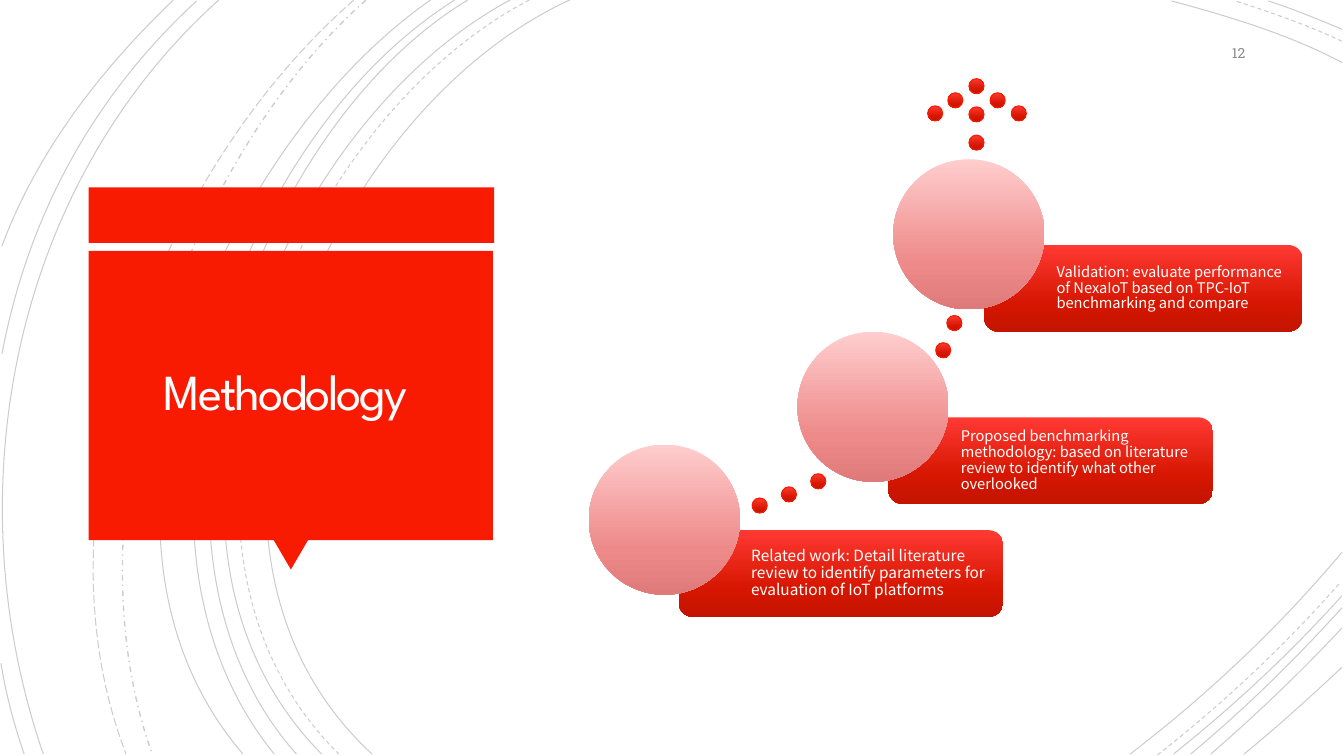
"""Build the Methodology slide: a red title block beside three rising steps."""
from copy import deepcopy

from lxml import etree
from pptx import Presentation
from pptx.dml.color import RGBColor
from pptx.enum import dml, shapes, text
from pptx.oxml import ns
from pptx.util import Pt

PX = 9144
RED = RGBColor(0xF8, 0x1B, 0x02)
BLACK = RGBColor(0, 0, 0)
WHITE = RGBColor(0xFF, 0xFF, 0xFF)
TITLE_WHITE = RGBColor(0xFF, 0xFE, 0xFF)
GREY = RGBColor(0x8C, 0x8C, 0x8C)
DEEP_REDS = [RGBColor.from_string(c) for c in ("FF3933", "D51600", "C31400")]
PALE_REDS = [RGBColor.from_string(c) for c in ("FFCDCD", "EE8A8A", "DE7A79")]
STOPS = (0, 0.69, 1)

SOLID, DASH = dml.MSO_LINE.SOLID, dml.MSO_LINE.DASH
ARCS = [
    (SOLID, 0.75, [
        [(565, 0), (315, 115), (143, 540), (369, 748)],
        [(1331, 62), (1278, 34), (1218, 16), (1162, 1)],
        [(1121, 748), (1197, 690), (1269, 622), (1331, 548)],
    ]),
    (DASH, 0.75, [
        [(525, 0), (285, 125), (123, 537), (336, 748)],
        [(1331, 41), (1297, 25), (1260, 12), (1225, 1)],
        [(1148, 749), (1213, 698), (1275, 640), (1330, 577)],
    ]),
    (SOLID, 0.75, [
        [(506, 0), (270, 127), (110, 537), (319, 748)],
        [(1331, 29), (1307, 19), (1283, 9), (1258, 1)],
        [(1164, 748), (1223, 701), (1280, 648), (1331, 591)],
        [(464, 0), (244, 133), (110, 541), (294, 748)],
        [(1181, 748), (1234, 704), (1284, 655), (1331, 603)],
        [(451, 0), (231, 138), (97, 533), (272, 748)],
        [(1201, 748), (1246, 709), (1290, 667), (1331, 623)],
        [(427, 0), (217, 147), (53, 529), (241, 748)],
        [(1234, 748), (1267, 721), (1299, 692), (1331, 662)],
    ]),
    (dml.MSO_LINE.DASH_DOT, 1, [[(363, 0), (176, 166), (65, 509), (151, 748)]]),
    (dml.MSO_LINE.LONG_DASH, 0.75, [[(351, 0), (157, 169), (29, 499), (125, 748)]]),
    (SOLID, 0.75, [
        [(217, 0), (11, 185), (-46, 490), (43, 748)],
        [(195, 1), (92, 96), (28, 214), (2, 351)],
        [(1, 658), (6, 689), (14, 719), (24, 748)],
        [(172, 0), (100, 69), (37, 150), (2, 244)],
    ]),
]

TITLE = "Methodology "
PAGE = "12"
STEPS = [
    ("Related work: Detail literature review to identify parameters for "
     "evaluation of IoT platforms", 11, (673, 526, 322), (584, 441)),
    ("Proposed benchmarking methodology: based on literature review to "
     "identify what other overlooked", 10.5, (881, 414, 322), (791, 329)),
    ("Validation: evaluate performance of NexaIoT based on TPC-IoT "
     "benchmarking and compare", 10.5, (976, 243, 316), (886, 158)),
]
CARD_HEIGHT, CARD_EDGE, DISC, DOT = 86, 4, (150, 149), (15, 15)
TRAIL = [(804, 470), (775, 483), (746, 494), (939, 313), (928, 340)]
ARROW = [(920, 105), (940, 92), (961, 78), (982, 92), (1003, 105),
         (961, 106), (961, 134)]


def box(*lengths):
    return [n * PX for n in lengths]


def add_arc(slide, curve, dash, width):
    start, *rest = curve
    builder = slide.shapes.build_freeform(*start, scale=PX)
    builder.add_line_segments(rest, close=False)
    arc = builder.convert_to_shape()
    outline = arc._element.spPr.find(".//" + ns.qn("a:path"))
    bend = etree.SubElement(outline, ns.qn("a:cubicBezTo"))
    for segment in outline.findall(ns.qn("a:lnTo")):
        bend.append(segment[0])
        outline.remove(segment)
    arc.shadow.inherit = False
    arc.fill.background()
    arc.line.color.rgb = BLACK
    arc.line.width = Pt(width)
    arc.line.dash_style = dash
    ink = arc._element.spPr.find(".//" + ns.qn("a:srgbClr"))
    etree.SubElement(ink, ns.qn("a:alpha"), val="20000")


def add_preset(slide, kind, place, colours):
    shape = slide.shapes.add_shape(kind, *box(*place))
    shape.shadow.inherit = False
    shape.line.fill.background()
    if len(colours) == 1:
        shape.fill.solid()
        shape.fill.fore_color.rgb = colours[0]
        return shape
    shape.fill.gradient()
    shape.fill.gradient_angle = 270
    stop_list = shape._element.spPr.find(".//" + ns.qn("a:gsLst"))
    stop_list.append(deepcopy(stop_list[0]))
    for stop, position, colour in zip(shape.fill.gradient_stops, STOPS, colours):
        stop.position = position
        stop.color.rgb = colour
    return shape


def write(frame, words, font, size, colour, align, insets, spacing=1.0):
    frame.word_wrap = True
    frame.auto_size = text.MSO_AUTO_SIZE.NONE
    frame.vertical_anchor = text.MSO_ANCHOR.MIDDLE
    (frame.margin_left, frame.margin_top,
     frame.margin_right, frame.margin_bottom) = box(*insets)
    paragraph = frame.paragraphs[0]
    paragraph.alignment = align
    paragraph.line_spacing = spacing
    run = paragraph.add_run()
    run.text = words
    run.font.name = font
    run.font.size = Pt(size)
    run.font.color.rgb = colour
    return run


def main():
    deck = Presentation()
    deck.slide_width, deck.slide_height = box(1333, 750)
    slide = deck.slides.add_slide(deck.slide_layouts[5])
    kinds, align = shapes.MSO_SHAPE, text.PP_ALIGN

    for dash, width, curves in ARCS:
        for curve in curves:
            add_arc(slide, curve, dash, width)

    add_preset(slide, kinds.RECTANGLE, (88, 186, 402, 55), [RED])
    pointer = add_preset(slide, kinds.ISOSCELES_TRIANGLE, (271, 535, 35, 30), [RED])
    pointer.rotation = 180
    add_preset(slide, kinds.RECTANGLE, (88, 249, 401, 287), [RED])

    title = slide.shapes.title
    title.left, title.top, title.width, title.height = box(97, 257, 383, 269)
    heading = write(title.text_frame, TITLE, "League Spartan", 36, TITLE_WHITE,
                    align.CENTER, (25, 25, 25, 25), 0.85)
    heading._r.get_or_add_rPr().set("spc", "-150")
    slide.shapes._spTree.append(title._element)

    for spot in TRAIL + ARROW:
        dot = add_preset(slide, kinds.OVAL, spot + DOT, DEEP_REDS)
        dot.line.color.rgb = RED
        dot.line.width = Pt(0.75)

    for words, size, (left, top, width), disc_spot in STEPS:
        add_preset(slide, kinds.ROUNDED_RECTANGLE,
                   (left, top, width, CARD_HEIGHT), DEEP_REDS)
        label = slide.shapes.add_textbox(*box(
            left + CARD_EDGE, top + CARD_EDGE,
            width - 2 * CARD_EDGE, CARD_HEIGHT - 2 * CARD_EDGE))
        write(label.text_frame, words, "Noto Sans CJK SC", size, WHITE,
              align.LEFT, (68, 5, 5, 5), 0.9)
        add_preset(slide, kinds.OVAL, disc_spot + DISC, PALE_REDS)

    page = slide.shapes.add_textbox(*box(1145, 35, 100, 35))
    write(page.text_frame, PAGE, "Roboto Slab", 10, GREY, align.RIGHT, (10, 5, 10, 5))
    deck.save("out.pptx")


if __name__ == "__main__":
    main()
